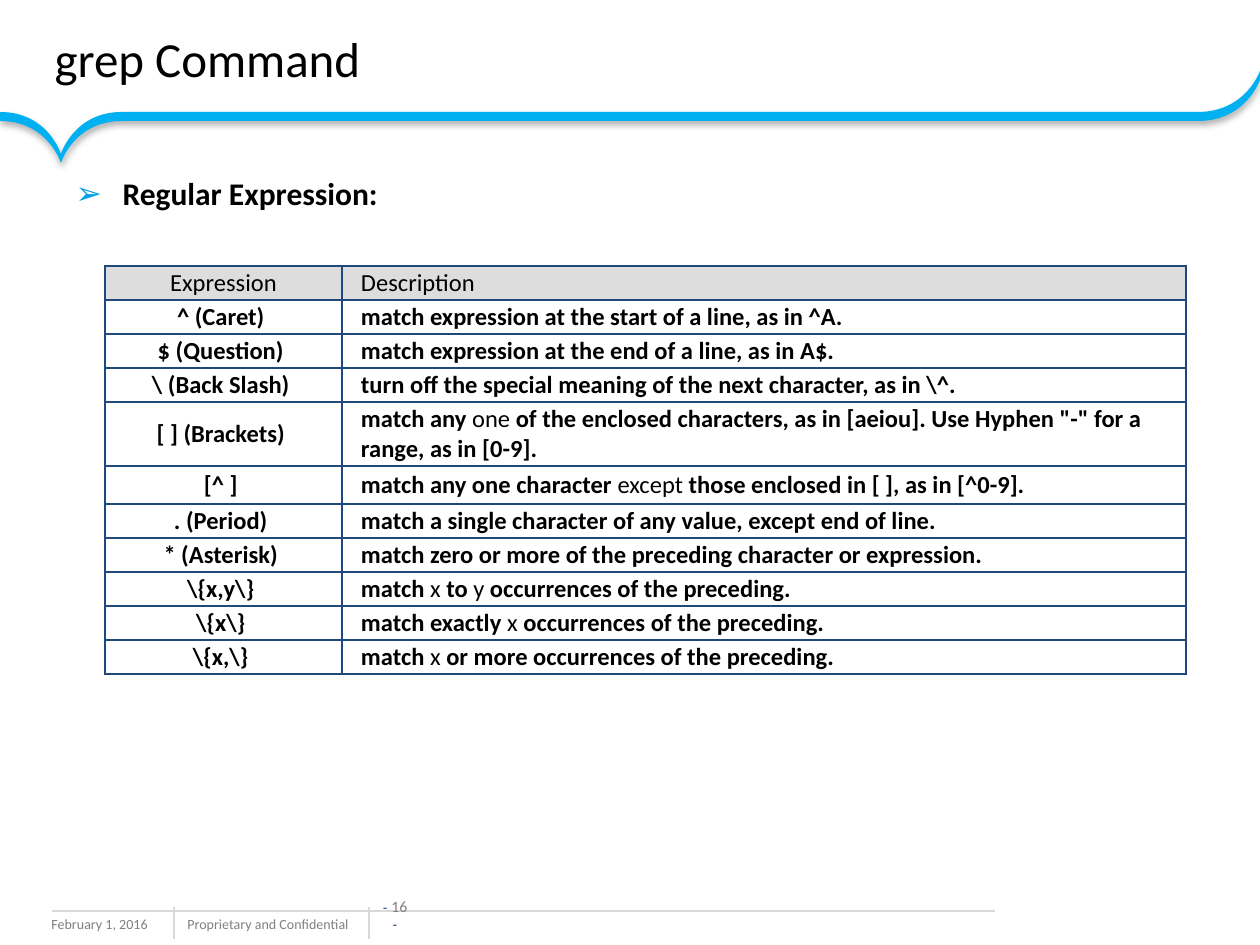
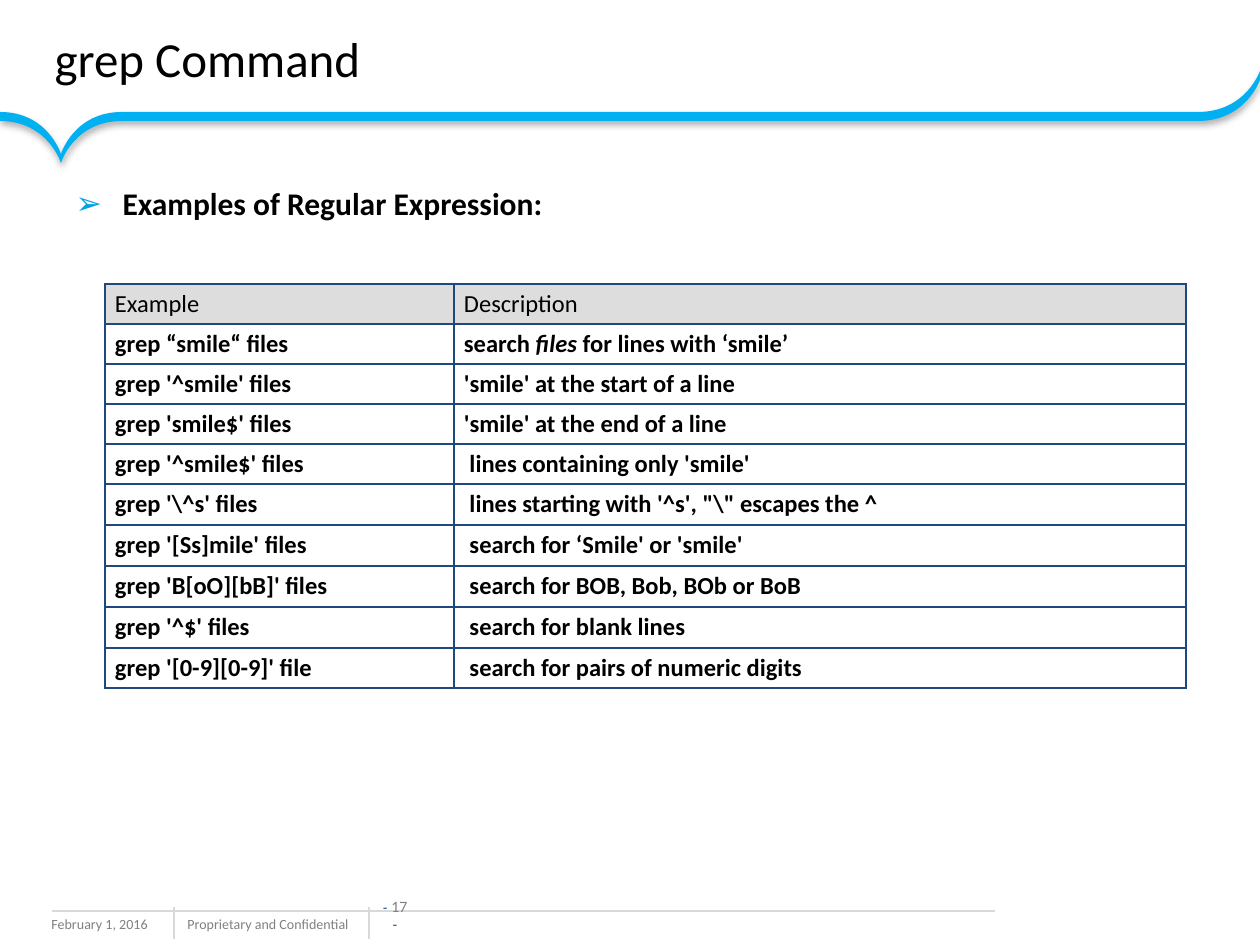
from dataclasses import dataclass
from lxml.etree import SubElement as Sub
from pptx import Presentation
from pptx.dml.color import RGBColor as RGB
from pptx.enum.shapes import MSO_CONNECTOR as Link
from pptx.enum.text import MSO_ANCHOR as Anchor, MSO_AUTO_SIZE as Fit, PP_ALIGN as Align
from pptx.oxml.ns import qn
from pptx.util import Emu, Pt

SCALE = 914400 / 126


@dataclass(frozen=True)
class Theme:
    """Colours, fonts and type sizes of the deck."""
    font: str = "Calibri"
    mark_font: str = "Arial"
    ink: str = "000000"
    grey: str = "808080"
    rule: str = "D9D9D9"
    navy: str = "1F497D"
    band: str = "00B0F0"
    mark: str = "00A1E4"
    head: str = "DDDDDD"
    title: int = 28
    body: int = 18
    cell: int = 14
    page: int = 9
    foot: int = 8


T = Theme()
SIGNS = {
    "title": "grep Command", "lead": "Regular Expression:", "lead_box": (63, 168, 1134, 677),
    "box": (105, 266, 1081, 412), "cols": (237, 844), "heights": [34] * 4 + [64, 38] + [34] * 5,
    "pad": (19, 2), "align": Align.CENTER, "accent": {"bold": False}, "page": 16,
    "rows": [
        ("Expression", "Description"),
        ("^ (Caret) ", "match expression at the start of a line, as in ^A."),
        ("$ (Question) ", "match expression at the end of a line, as in A$."),
        ("\\ (Back Slash) ", "turn off the special meaning of the next character, as in \\^."),
        ("[ ] (Brackets) ", "match any |one| of the enclosed characters, as in [aeiou]. "
                            "Use Hyphen \"-\" for a range, as in [0-9]."),
        ("[^ ] ", "match any one character |except| those enclosed in [ ], as in [^0-9]."),
        (". (Period) ", "match a single character of any value, except end of line."),
        ("* (Asterisk) ", "match zero or more of the preceding character or expression."),
        ("\\{x,y\\} ", "match |x| to |y| occurrences of the preceding."),
        ("\\{x\\} ", "match exactly |x| occurrences of the preceding."),
        ("\\{x,\\} ", "match |x| or more occurrences of the preceding."),
    ],
}
CASES = {
    "title": "grep Command", "lead": "Examples of Regular Expression:",
    "lead_box": (63, 178, 1134, 667),
    "box": (105, 284, 1081, 404), "cols": (349, 732), "heights": [40] * 5 + [41] * 4 + [40],
    "pad": (10, 5), "align": Align.LEFT, "accent": {"italic": True}, "page": 17,
    "rows": [
        ("Example", "Description"),
        ("grep “smile“ files", "search |files| for lines with ‘smile’"),
        ("grep '^smile' files", "'smile' at the start of a line"),
        ("grep 'smile$' files", "'smile' at the end of a line"),
        ("grep '^smile$' files", " lines containing only 'smile'"),
        ("grep '\\^s' files", " lines starting with '^s', \"\\\" escapes the ^"),
        ("grep '[Ss]mile' files", " search for ‘Smile' or 'smile'"),
        ("grep 'B[oO][bB]' files", " search for BOB, Bob, BOb or BoB"),
        ("grep '^$' files", " search for blank lines"),
        ("grep '[0-9][0-9]' file", " search for pairs of numeric digits"),
    ],
}


def px(*nums):
    """Turn px lengths into EMU."""
    return [Emu(round(n * SCALE)) for n in nums]


def style(item, **vals):
    """Set each given attribute on the item."""
    for name, val in vals.items():
        setattr(item, name, val)


def write(para, text, size, color=T.ink, font=T.font, **more):
    """Add one formatted run to a paragraph."""
    run = para.add_run()
    run.text = text
    style(run.font, size=Pt(size), name=font, **more)
    run.font.color.rgb = RGB.from_string(color)


def label(slide, box, runs, **vals):
    """Add a text box holding one paragraph of runs."""
    shape = slide.shapes.add_textbox(*px(*box))
    style(shape.text_frame, word_wrap=True, **vals)
    for run in runs:
        write(shape.text_frame.paragraphs[0], *run)
    return shape


def rule(slide, *ends):
    """Draw a thin grey line."""
    line = slide.shapes.add_connector(Link.STRAIGHT, *px(*ends))
    line.line.color.rgb = RGB.from_string(T.rule)
    line.line.width = Pt(0.75)
    Sub(line.element.spPr, qn("a:effectLst"))
    return line


def bend(shape):
    """Turn each three line steps of an outline into one curve."""
    track = next(shape.element.iter(qn("a:path")))
    steps = track.findall(qn("a:lnTo"))
    for i in range(0, len(steps), 3):
        arc = Sub(track, qn("a:cubicBezTo"))
        for step in steps[i:i + 3]:
            arc.append(step[0])
            track.remove(step)
    track.append(track.find(qn("a:close")))


def swoosh(slide, box):
    """Draw the curved header band with its soft shadow."""
    x, y, wide, tall = box
    thick, flat, mid = 9, 41, 61
    tip = (mid, tall - thick)
    top = [(wide - 62, flat), *[(2 * mid, flat)] * 3, (74, flat), tip, tip,
           tip, (48, flat), (0, flat)]
    low = [(a, b + thick) for a, b in reversed(top)]
    end = (wide, 0)
    edge = top + [low[0]] * 2 + low + [low[-1]] * 0
    edge += [(wide - 14, flat + thick), (wide, thick), (wide, thick),
             end, end, end, end, (wide - 14, flat), top[0]]
    spots = [px(x + a, y + b) for a, b in edge]
    pen = slide.shapes.build_freeform(*spots[0], scale=1.0)
    pen.add_line_segments(spots[1:], close=True)
    shape = pen.convert_to_shape()
    bend(shape)
    shape.fill.solid()
    shape.fill.fore_color.rgb = RGB.from_string(T.band)
    shape.line.fill.background()
    shade = Sub(Sub(shape.element.spPr, qn("a:effectLst")), qn("a:outerShdw"),
                blurRad="50800", dist="25400", dir="5400000", algn="t", rotWithShape="0")
    Sub(Sub(shade, qn("a:srgbClr"), val="000000"), qn("a:alpha"), val="31000")
    return shape


def footer(slide, box):
    """Draw the footer rules, date and notice."""
    x, y, wide, tall = box
    parts = [label(slide, (x - 13, y + 2, 168, 32), [("February 1, 2016", T.foot, T.grey)]),
             label(slide, (x + 123, y + 2, 198, 30),
                   [("Proprietary and Confidential", T.foot, T.grey)])]
    parts += [rule(slide, x + gap, y, x + gap, y + tall) for gap in (122, 317)]
    return parts + [rule(slide, x + wide, y + 4, x, y + 4)]


def number(slide, box, page):
    """Write the page number between dashes."""
    dash = (T.foot, T.navy, T.mark_font)
    shape = label(slide, box, [("- ", *dash), (f"{page} ", T.page, T.grey), ("-", *dash)],
                  margin_left=0, margin_right=0, margin_top=0, margin_bottom=0,
                  vertical_anchor=Anchor.BOTTOM)
    shape.text_frame.paragraphs[0].alignment = Align.CENTER


def fill_in(holder, box, text, size, **more):
    """Place a placeholder and write its text."""
    style(holder, **dict(zip(("left", "top", "width", "height"), px(*box))))
    holder.text_frame.auto_size = Fit.NONE
    para = holder.text_frame.paragraphs[0]
    para.alignment = Align.LEFT
    write(para, text, size, **more)
    return para


def bullet(para, dent):
    """Give a paragraph a coloured arrow bullet."""
    props = para._p.get_or_add_pPr()
    wide = px(dent)[0]
    props.set("marL", str(wide))
    props.set("indent", str(-wide))
    Sub(Sub(props, qn("a:buClr")), qn("a:srgbClr"), val=T.mark)
    Sub(props, qn("a:buFont"), typeface=T.mark_font)
    Sub(props, qn("a:buChar"), char="➢")


def border(cell):
    """Line all four sides of a cell."""
    props = cell._tc.get_or_add_tcPr()
    for side in ("lnL", "lnR", "lnT", "lnB"):
        line = Sub(props, qn(f"a:{side}"), w="12700")
        Sub(Sub(line, qn("a:solidFill")), qn("a:srgbClr"), val=T.navy)


def grid(slide, box, data):
    """Draw the table, with bars in the text around accented words."""
    rows, (side, edge) = data["rows"], data["pad"]
    table = slide.shapes.add_table(len(rows), len(data["cols"]), *px(*box)).table
    style(table, first_row=False, horz_banding=False)
    for col, wide in zip(table.columns, px(*data["cols"])):
        col.width = wide
    for row, tall in zip(table.rows, px(*data["heights"])):
        row.height = tall
    left, top = px(side, edge)
    for r, row in enumerate(rows):
        for c, text in enumerate(row):
            cell = table.cell(r, c)
            style(cell, margin_left=left, margin_right=left, margin_top=top,
                  margin_bottom=top, vertical_anchor=Anchor.MIDDLE)
            border(cell)
            if r == 0:
                cell.fill.solid()
                cell.fill.fore_color.rgb = RGB.from_string(T.head)
            else:
                cell.fill.background()
            para = cell.text_frame.paragraphs[0]
            para.alignment = data["align"] if c == 0 else Align.LEFT
            for i, part in enumerate(text.split("|")):
                look = {"bold": r > 0, **(data["accent"] if i % 2 else {})}
                write(para, part, T.cell, **look)


def topic(deck, layout, data):
    """Build one slide with a title, a lead line and a table."""
    slide = deck.slides.add_slide(layout)
    title, body = slide.placeholders
    fill_in(title, (42, 3, 1134, 110), data["title"], T.title)
    title.text_frame.vertical_anchor = Anchor.MIDDLE
    bullet(fill_in(body, data["lead_box"], data["lead"], T.body, bold=True), 47)
    grid(slide, data["box"], data)
    number(slide, (379, 913, 32, 19), data["page"])
    return slide


def share(slide, layout):
    """Put the band and footer on the layout."""
    for holder in list(layout.placeholders):
        if holder.placeholder_format.idx >= 10:
            layout.shapes.element.remove(holder.element)
    for shape in [*footer(slide, (52, 907, 943, 32)), swoosh(slide, (0, 71, 1260, 92))]:
        layout.shapes.element.append(shape.element)


def main():
    """Build and save the deck."""
    deck = Presentation()
    deck.slide_width, deck.slide_height = px(1260, 945)
    layout = deck.slide_layouts[1]
    slides = [topic(deck, layout, data) for data in (SIGNS, CASES)]
    share(slides[0], layout)
    deck.save("out.pptx")


if __name__ == "__main__":
    main()
